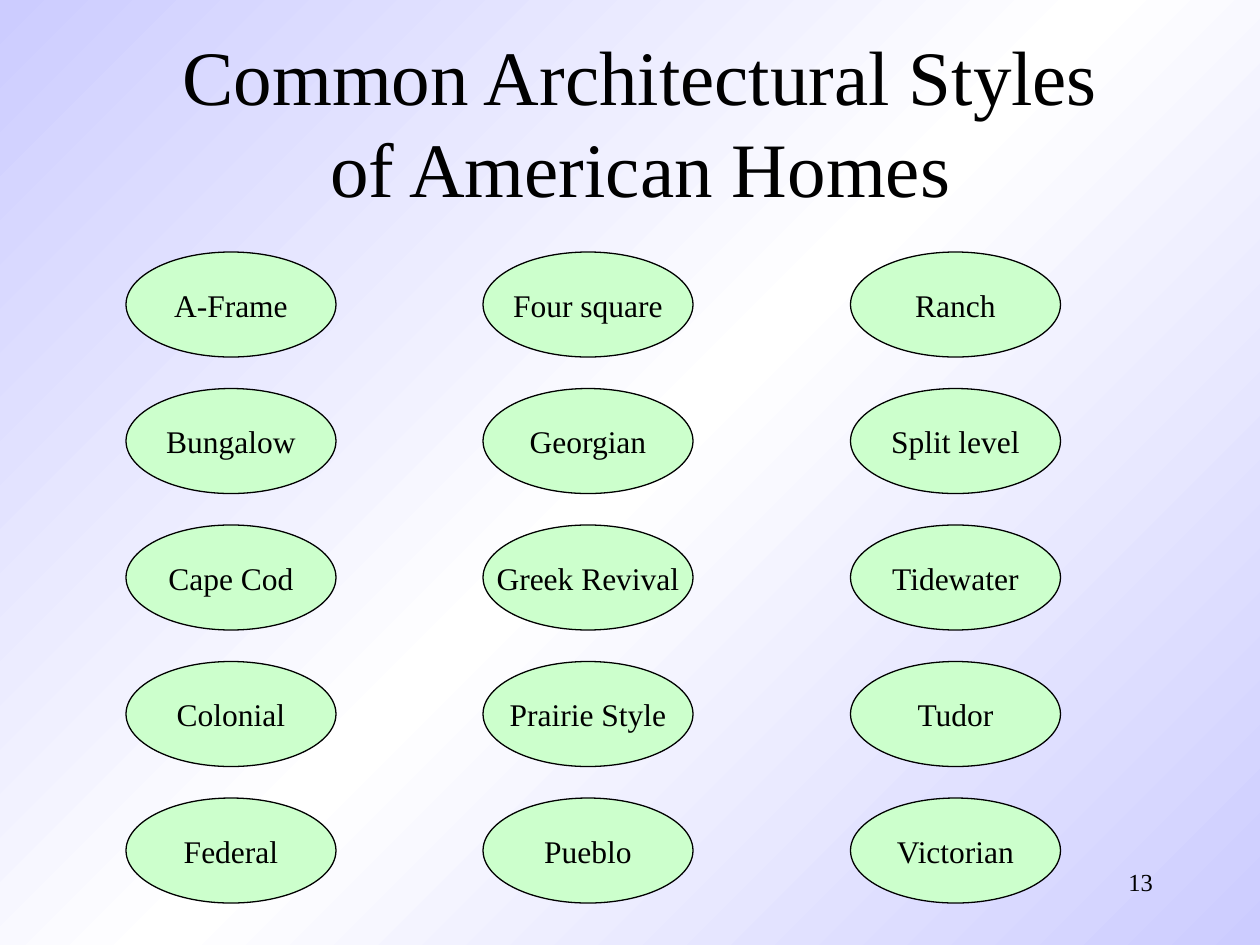
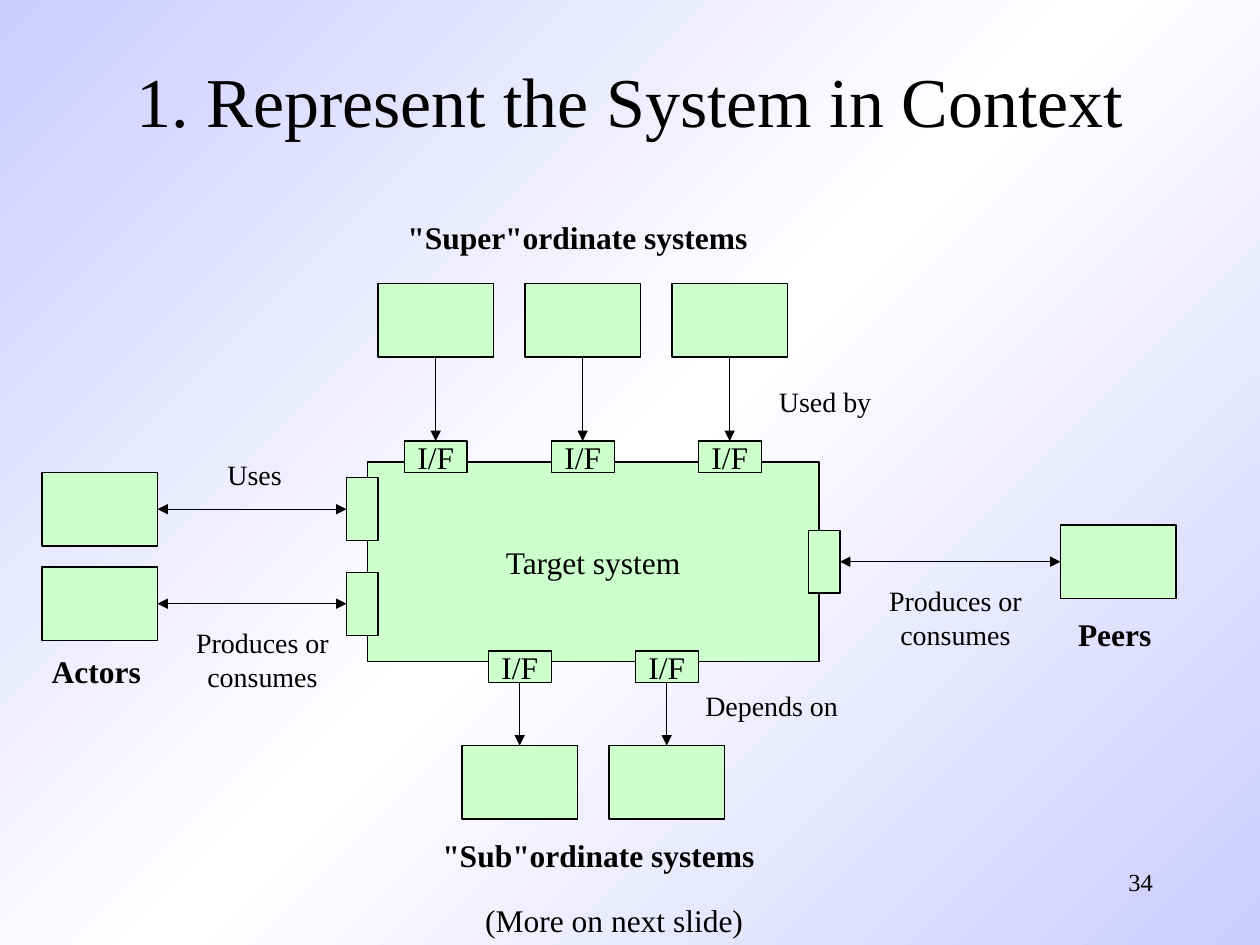
from copy import deepcopy

from lxml.etree import SubElement
from pptx import Presentation
from pptx.dml.color import RGBColor
from pptx.enum.shapes import MSO_CONNECTOR, MSO_SHAPE
from pptx.enum.text import MSO_ANCHOR, MSO_AUTO_SIZE, PP_ALIGN
from pptx.oxml.ns import qn
from pptx.util import Pt

FONT = "Times New Roman"
BLACK, GREEN, LAVENDER, WHITE = "000000", "CCFFCC", "CCCCFF", "FFFFFF"
TOP, LEFT, BOTTOM, RIGHT = range(4)
color = RGBColor.from_string


def write(shape, text, size=18, bold=False, align=PP_ALIGN.CENTER,
          anchor=MSO_ANCHOR.MIDDLE, wrap=False, fit=MSO_AUTO_SIZE.NONE):
    frame = shape.text_frame
    frame.text = text
    frame.word_wrap = wrap
    frame.auto_size = fit
    frame.vertical_anchor = anchor
    for paragraph in frame.paragraphs:
        paragraph.alignment = align
        for run in paragraph.runs:
            run.font.name = FONT
            run.font.size = Pt(size)
            run.font.bold = bold
            run.font.color.rgb = color(BLACK)


def add_box(slide, left, top, width, height, text="", kind=MSO_SHAPE.RECTANGLE):
    shape = slide.shapes.add_shape(kind, Pt(left), Pt(top), Pt(width), Pt(height))
    shape.shadow.inherit = False
    shape.fill.solid()
    shape.fill.fore_color.rgb = color(GREEN)
    shape.line.color.rgb = color(BLACK)
    shape.line.width = Pt(0.75)
    if text:
        write(shape, text)
    return shape


presentation = Presentation()
presentation.slide_width, presentation.slide_height = Pt(720), Pt(540)

# Diagonal gradient shared by all slides
master = presentation.slide_master
background = master.background.fill
background.gradient()
background.gradient_angle = 315
first_stop, last_stop = background.gradient_stops
for stop, position in ((first_stop, 0), (last_stop, 1)):
    stop.color.rgb = color(LAVENDER)
    stop.position = position
stop_list = next(master.element.iter(qn("a:gsLst")))
stop_list.insert(1, deepcopy(stop_list[0]))
middle_stop = background.gradient_stops[1]
middle_stop.color.rgb = color(WHITE)
middle_stop.position = 0.5

# Titles and slide numbers
slides = []
for title_text, size, left, top, number in (
    ("Common Architectural Styles\vof American Homes", 44, 60, 24, "13"),
    ("1. Represent the System in Context", 40, 54, 12, "34"),
):
    slide = presentation.slides.add_slide(presentation.slide_layouts[5])
    title = slide.shapes.title
    title.left, title.top, title.width, title.height = Pt(left), Pt(top), Pt(612), Pt(90)
    write(title, title_text, size=size, wrap=True)
    number_box = slide.shapes.add_textbox(Pt(516), Pt(492), Pt(150), Pt(36))
    write(number_box, number, size=14, align=PP_ALIGN.RIGHT, anchor=MSO_ANCHOR.TOP, wrap=True)
    slides.append(slide)
styles_slide, context_slide = slides

# Architectural styles, column by column
style_columns = {
    72: ("A-Frame", "Bungalow", "Cape Cod", "Colonial", "Federal"),
    276: ("Four square", "Georgian", "Greek Revival", "Prairie Style", "Pueblo"),
    486: ("Ranch", "Split level", "Tidewater", "Tudor", "Victorian"),
}
for left, styles in style_columns.items():
    for row, style in enumerate(styles):
        add_box(styles_slide, left, 144 + 78 * row, 120, 60, style, MSO_SHAPE.OVAL)

# Target system with its neighbours; each link is (begin, side, end, side, two-way)
add_box(context_slide, 210, 264, 258, 114, "Target system")
links = []
for left in (216, 300, 384):
    superordinate = add_box(context_slide, left, 162, 66, 42)
    interface = add_box(context_slide, left + 15, 252, 36, 18, "I/F")
    links.append((superordinate, BOTTOM, interface, TOP, False))
for left in (264, 348):
    subordinate = add_box(context_slide, left, 426, 66, 42)
    interface = add_box(context_slide, left + 15, 372, 36, 18, "I/F")
    links.append((interface, BOTTOM, subordinate, TOP, False))
for left, top, port_left, side, port_side in (
    (24, 270, 198, RIGHT, LEFT),
    (24, 324, 198, RIGHT, LEFT),
    (606, 300, 462, LEFT, RIGHT),
):
    neighbour = add_box(context_slide, left, top, 66, 42)
    port = add_box(context_slide, port_left, top + 3, 18, 36)
    links.append((port, port_side, neighbour, side, True))

for begin, begin_side, end, end_side, two_way in links:
    connector = context_slide.shapes.add_connector(MSO_CONNECTOR.STRAIGHT, 0, 0, 0, 0)
    connector.begin_connect(begin, begin_side)
    connector.end_connect(end, end_side)
    connector.line.color.rgb = color(BLACK)
    connector.line.width = Pt(0.75)
    for arrowhead in ("a:headEnd", "a:tailEnd") if two_way else ("a:tailEnd",):
        SubElement(connector.get_or_add_ln(), qn(arrowhead), type="triangle")
    SubElement(connector.element.spPr, qn("a:effectLst"))

for text, left, top, width, height, size, bold in (
    ("Actors", 21, 369, 68, 29, 18, True),
    ("Peers", 607, 348, 60, 29, 18, True),
    ('"Super"ordinate systems', 224, 121, 212, 29, 18, True),
    ('"Sub"ordinate systems', 244, 474, 196, 29, 18, True),
    ("(More on next slide)", 269, 511.5, 164, 29, 18, False),
    ("Used by", 436.5, 216, 70, 26.5, 16, False),
    ("Uses", 121.5, 258, 48, 26.5, 16, False),
    ("Depends on", 394, 390, 94, 26.5, 16, False),
    ("Produces or\nconsumes", 499, 330, 94, 46, 16, False),
    ("Produces or\nconsumes", 103, 354, 94, 46, 16, False),
):
    label = context_slide.shapes.add_textbox(Pt(left), Pt(top), Pt(width), Pt(height))
    write(label, text, size=size, bold=bold, anchor=MSO_ANCHOR.TOP,
          fit=MSO_AUTO_SIZE.SHAPE_TO_FIT_TEXT)

presentation.save("out.pptx")
